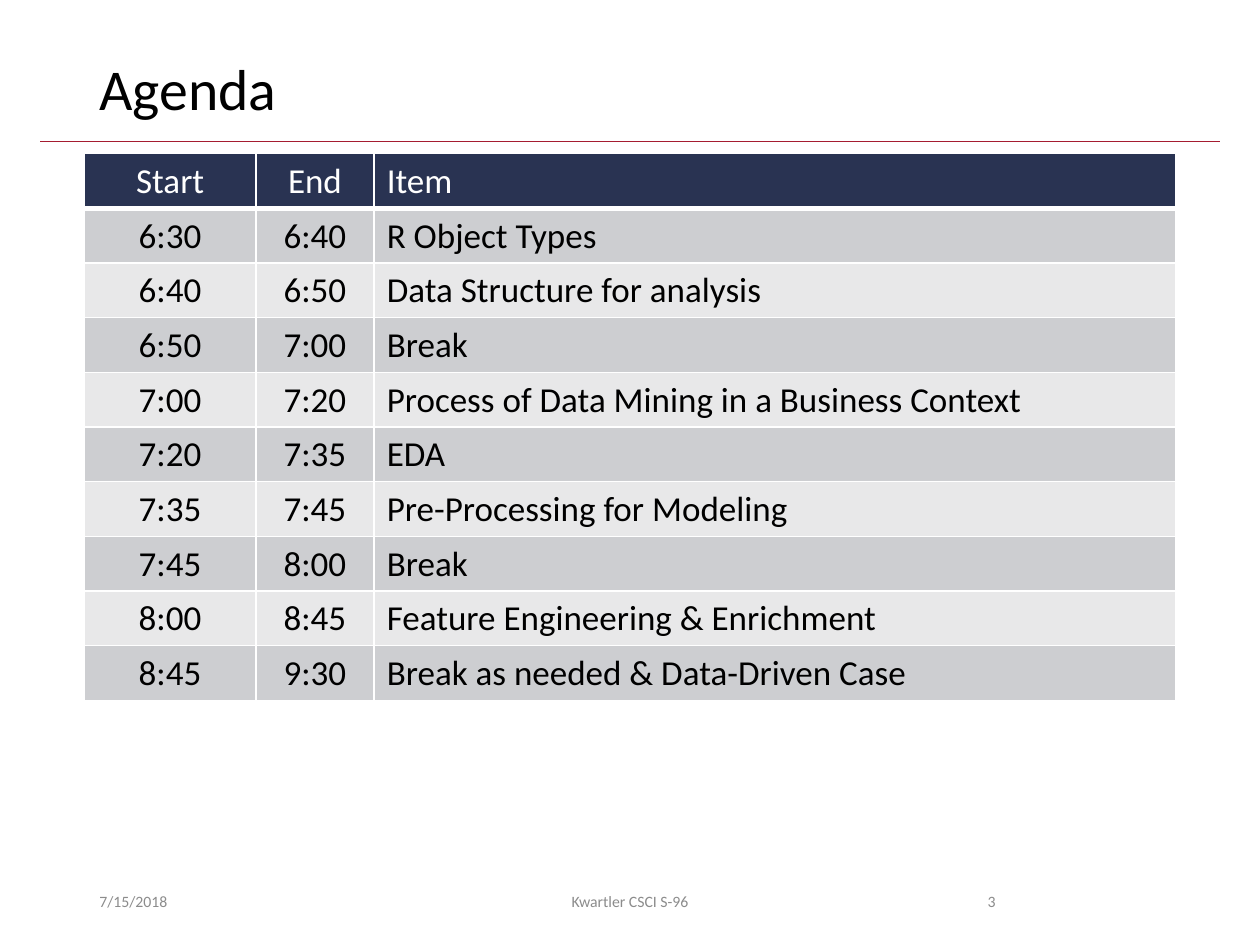
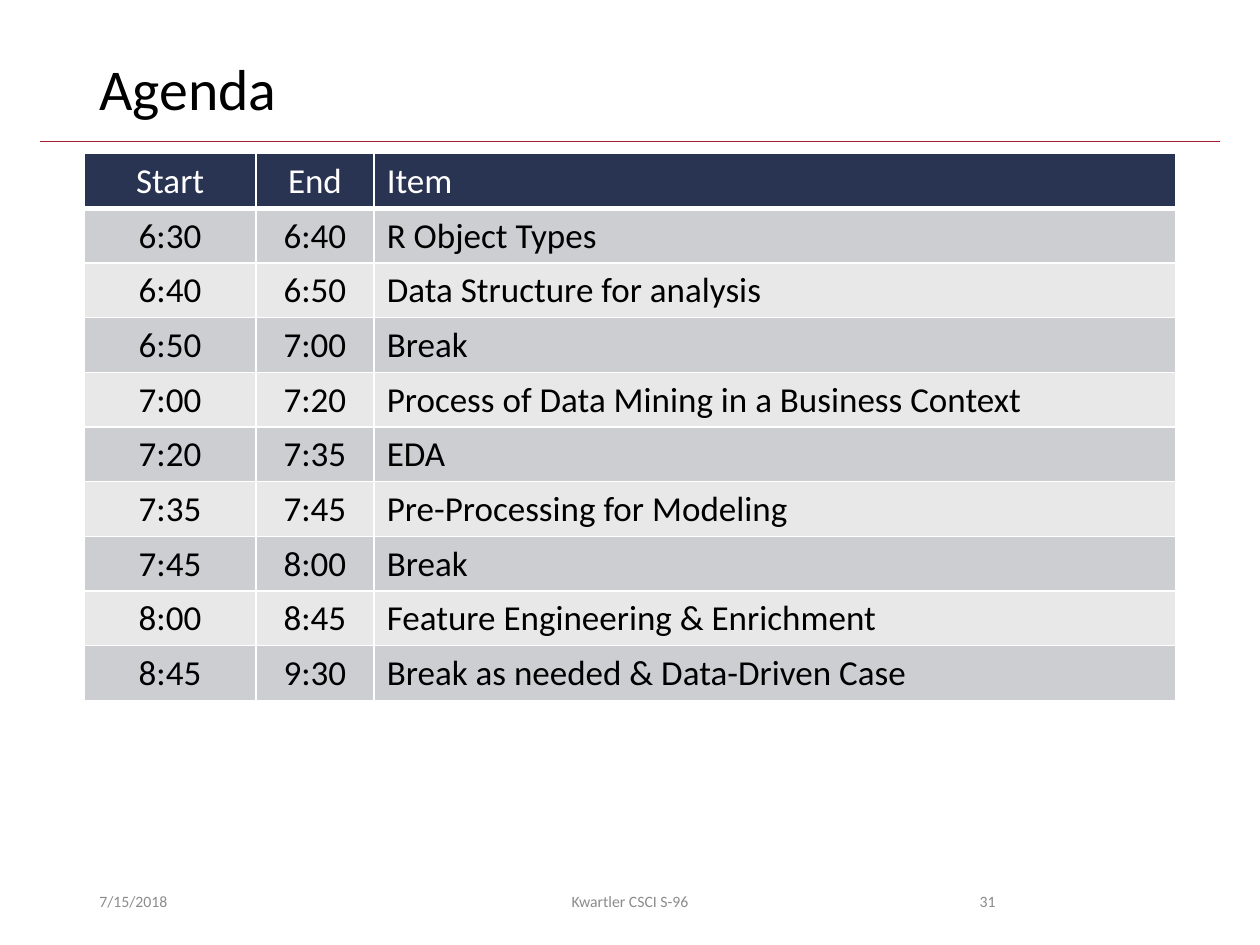
"""Build two agenda slides with a shared title, rule, timetable and footer."""
import pptx
import pptx.dml.color
import pptx.enum.shapes
import pptx.enum.text
import pptx.oxml
import pptx.oxml.ns
import pptx.util

Pt = pptx.util.Pt
ALIGN = pptx.enum.text.PP_ALIGN
MID = pptx.enum.text.MSO_ANCHOR.MIDDLE
NS = pptx.oxml.ns.nsdecls("a")
FONT = "Calibri"
RED, NAVY, BLACK, WHITE = "A51C30", "293352", "000000", "FFFFFF"
GREY, DARK, LIGHT = "8C8C8C", "CDCED1", "E8E8E9"

ROWS = [
    ("Start", "End", "Item"),
    ("6:30", "6:40", "R Object Types"),
    ("6:40", "6:50", "Data Structure for analysis"),
    ("6:50", "7:00", "Break"),
    ("7:00", "7:20", "Process of Data Mining in a Business Context"),
    ("7:20", "7:35", "EDA"),
    ("7:35", "7:45", "Pre-Processing for Modeling"),
    ("7:45", "8:00", "Break"),
    ("8:00", "8:45", "Feature Engineering & Enrichment"),
    ("8:45", "9:30", "Break as needed & Data-Driven Case"),
]
WIDTHS = (97.92, 67.68, 457.92)
ROW_H = 31.2
ALIGNS = (ALIGN.CENTER, ALIGN.CENTER, ALIGN.LEFT)


def rgb(code):
    return pptx.dml.color.RGBColor.from_string(code)


def write(frame, text, size=20, color=BLACK, align=ALIGN.LEFT, space=None):
    frame.word_wrap = True
    para = frame.paragraphs[0]
    para.alignment = align
    para.line_spacing = space
    run = para.add_run()
    run.text = text
    run.font.name = FONT
    run.font.size = Pt(size)
    run.font.bold = False
    run.font.color.rgb = rgb(color)


deck = pptx.Presentation()
deck.slide_width, deck.slide_height = Pt(720), Pt(540)

for number in ("3", "31"):
    slide = deck.slides.add_slide(deck.slide_layouts[6])
    shapes = slide.shapes

    rule = shapes.add_connector(
        pptx.enum.shapes.MSO_CONNECTOR.STRAIGHT, Pt(23.04), Pt(80.64), Pt(696.96), Pt(80.64))
    rule.line.color.rgb = rgb(RED)
    rule.line.width = Pt(0.5)
    rule._element.spPr.append(pptx.oxml.parse_xml(f"<a:effectLst {NS}/>"))

    title = shapes.add_textbox(Pt(49.68), Pt(28.8), Pt(620.64), Pt(46.8))
    title.text_frame.vertical_anchor = MID
    write(title.text_frame, "Agenda", size=33, space=0.9)

    table = shapes.add_table(
        len(ROWS), len(WIDTHS), Pt(48.24), Pt(87.84), Pt(sum(WIDTHS)), Pt(ROW_H * len(ROWS))).table
    for col, width in zip(table.columns, WIDTHS):
        col.width = Pt(width)
    for r, row in enumerate(ROWS):
        table.rows[r].height = Pt(ROW_H)
        fill = NAVY if r == 0 else DARK if r % 2 else LIGHT
        for c, text in enumerate(row):
            cell = table.cell(r, c)
            write(cell.text_frame, text, color=BLACK if r else WHITE, align=ALIGNS[c])
            props = cell._tc.get_or_add_tcPr()
            for side in "LRTB":
                weight = Pt(3 if r == 0 and side == "B" else 1)
                props.append(pptx.oxml.parse_xml(
                    f'<a:ln{side} {NS} w="{weight}"><a:solidFill>'
                    f'<a:srgbClr val="{WHITE}"/></a:solidFill></a:ln{side}>'))
            cell.fill.solid()
            cell.fill.fore_color.rgb = rgb(fill)

    for left, width, text, align in (
        (49.68, 162, "7/15/2018", ALIGN.LEFT),
        (238.32, 243.36, "Kwartler CSCI S-96", ALIGN.CENTER),
        (508.32, 67.68, number, ALIGN.RIGHT),
    ):
        foot = shapes.add_textbox(Pt(left), Pt(500.4), Pt(width), Pt(28.8))
        foot.text_frame.vertical_anchor = MID
        write(foot.text_frame, text, size=9, color=GREY, align=align)

deck.save("out.pptx")
